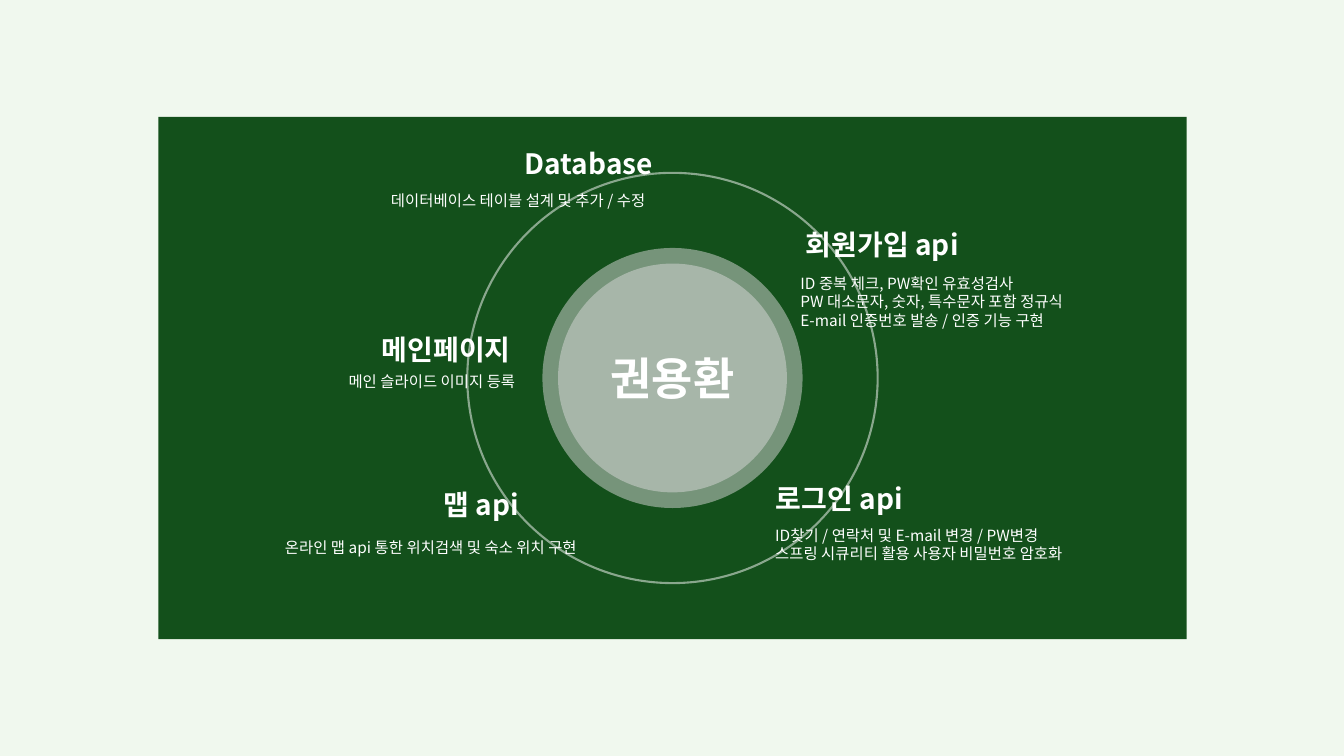
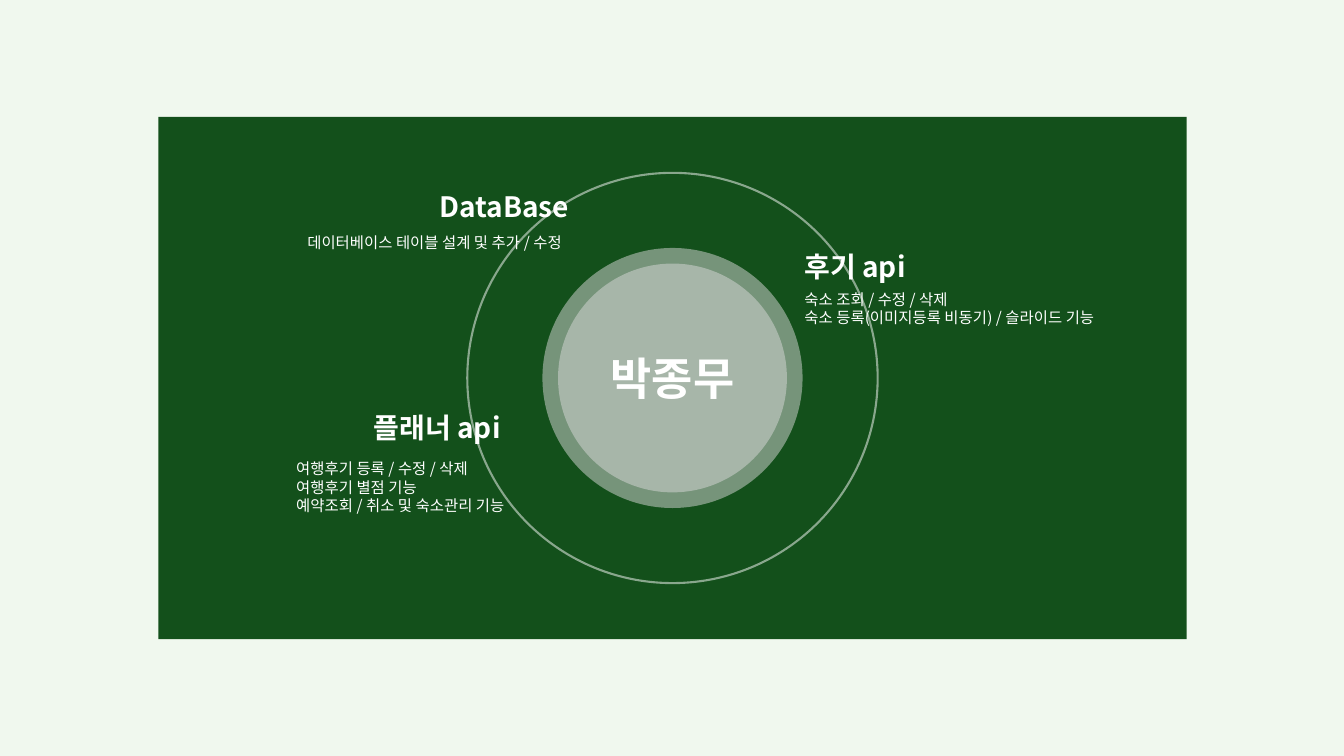
from dataclasses import dataclass

from lxml import etree
from pptx import Presentation
from pptx.dml.color import RGBColor
from pptx.enum.shapes import MSO_SHAPE as Preset
from pptx.enum.text import MSO_ANCHOR as Anchor, MSO_AUTO_SIZE as AutoSize, PP_ALIGN as Align
from pptx.oxml.ns import qn
from pptx.util import Inches, Pt

FONT = "Noto Sans CJK KR"
PALE, GREEN, GREY, WHITE = "F0F8EE", "13501B", "D9D9D9", "FFFFFF"
CENTER_X, CENTER_Y = 6.67, 3.75


@dataclass
class Topic:
    """A heading and its details, each placed by left, top and width."""
    heading: str
    heading_at: tuple
    details: list
    details_at: tuple
    align: Align = Align.LEFT


MEMBERS = {
    "권용환": [
        Topic("회원가입 api", (7.77, 2.2, 1.96),
              ["ID 중복 체크, PW확인 유효성검사",
               "PW 대소문자, 숫자, 특수문자 포함 정규식",
               "E-mail 인증번호 발송 / 인증 기능 구현"], (7.84, 2.66, 4.19)),
        Topic("맵 api", (3.57, 4.78, 2.41),
              ["온라인 맵 api 통한 위치검색 및 숙소 위치 구현"], (2.37, 5.28, 3.45), Align.RIGHT),
        Topic("로그인 api", (7.12, 4.72, 2.41),
              ["ID찾기 / 연락처 및 E-mail 변경 / PW변경",
               "스프링 시큐리티 활용 사용자 비밀번호 암호화"], (7.59, 5.16, 3.6)),
        Topic("Database", (4.86, 1.4, 1.96),
              ["데이터베이스 테이블 설계 및 추가 / 수정"], (3.36, 1.84, 3.14), Align.RIGHT),
        Topic("메인페이지", (3.22, 3.25, 2.41),
              ["메인 슬라이드 이미지 등록"], (3.05, 3.64, 2.16), Align.RIGHT),
    ],
    "박종무": [
        Topic("후기 api", (7.64, 2.42, 1.68),
              ["숙소 조회 / 수정 / 삭제",
               "숙소 등록(이미지등록 비동기) / 슬라이드 기능"], (7.88, 2.82, 4.19)),
        Topic("플래너 api", (3.13, 4.02, 2.41),
              ["여행후기 등록 / 수정 / 삭제",
               "여행후기 별점 기능",
               "예약조회 / 취소 및 숙소관리 기능"], (2.84, 4.5, 3.14)),
        Topic("DataBase", (4.02, 1.83, 1.96),
              ["데이터베이스 테이블 설계 및 추가 / 수정"], (2.53, 2.26, 3.14), Align.RIGHT),
    ],
}


def paint(fill, color, alpha=100):
    """Make a fill solid, with its opacity in percent."""
    fill.solid()
    fill.fore_color.rgb = RGBColor.from_string(color)
    if alpha < 100:
        color_node = fill._xPr.find(qn("a:solidFill"))[0]
        etree.SubElement(color_node, qn("a:alpha"), val=str(alpha * 1000))


def add_centered(slide, preset, width, height):
    """Add a bare shape around the middle of the slide."""
    shape = slide.shapes.add_shape(
        preset, Inches(CENTER_X - width / 2), Inches(CENTER_Y - height / 2),
        Inches(width), Inches(height))
    shape.shadow.inherit = False
    shape.fill.background()
    shape.line.fill.background()
    return shape


def write(box, lines, size, bold=False, align=Align.CENTER):
    frame = box.text_frame
    frame.word_wrap = True
    frame.auto_size = AutoSize.SHAPE_TO_FIT_TEXT
    frame.vertical_anchor = Anchor.MIDDLE
    for index, line in enumerate(lines):
        para = frame.add_paragraph() if index else frame.paragraphs[0]
        para.alignment = align
        span = para.add_run()
        span.text = line
        font = span.font
        font.size, font.bold, font.name = Pt(size), bold, FONT
        paint(font.fill, WHITE)
        latin = span._r.rPr.find(qn("a:latin"))
        latin.addnext(latin.makeelement(qn("a:ea"), {"typeface": FONT}))


def add_text(slide, at, height, lines, size, **style):
    left, top, width = at
    box = slide.shapes.add_textbox(Inches(left), Inches(top), Inches(width), Inches(height))
    write(box, lines, size, **style)


def add_rings(slide):
    """Draw the green panel, the two discs and the outer ring."""
    paint(add_centered(slide, Preset.RECTANGLE, 10.2, 5.18).fill, GREEN)
    for diameter in (2.58, 2.27):
        paint(add_centered(slide, Preset.OVAL, diameter, diameter).fill, GREY, 50)
    ring = add_centered(slide, Preset.OVAL, 4.07, 4.07)
    paint(ring.line.fill, WHITE, 50)
    ring.line.width = Pt(1.5)


def place_name(slide, name):
    """Set the title in the middle, in front of the discs."""
    title = slide.shapes.title
    title.left, title.top = Inches(5.7), Inches(3.43)
    title.width, title.height = Inches(1.94), Inches(0.64)
    write(title, [name], 32, bold=True)
    title.element.getparent().append(title.element)


def add_topic(slide, topic):
    add_text(slide, topic.heading_at, 0.44, [topic.heading], 20, bold=True)
    height = 0.1 + 0.19 * len(topic.details)
    add_text(slide, topic.details_at, height, topic.details, 11, align=topic.align)


def main():
    deck = Presentation()
    deck.slide_width, deck.slide_height = Inches(13.33), Inches(7.5)
    paint(deck.slide_master.background.fill, PALE)
    title_only = deck.slide_layouts[5]
    for name, topics in MEMBERS.items():
        page = deck.slides.add_slide(title_only)
        add_rings(page)
        place_name(page, name)
        for topic in topics:
            add_topic(page, topic)
    deck.save("out.pptx")


if __name__ == "__main__":
    main()
